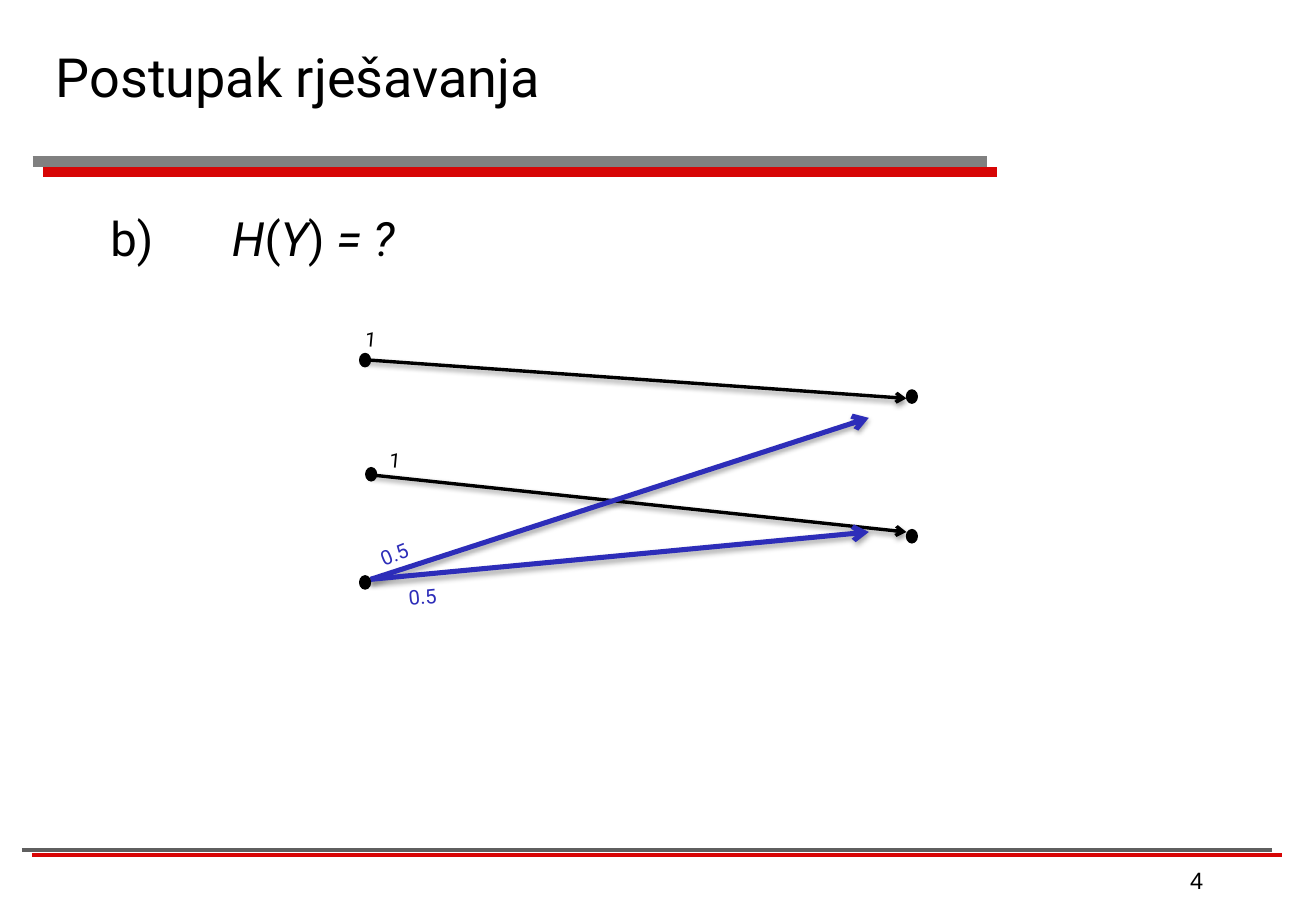
from lxml import etree
from pptx import Presentation, util as u
from pptx.dml.color import RGBColor
from pptx.enum import shapes, text
from pptx.oxml import ns


def ink(code):
    return RGBColor.from_string(code)


def node(base, tag, **attrs):
    item = etree.SubElement(base, ns.qn(tag))
    for key, value in attrs.items():
        item.set(key, str(value))
    return item


def write(para, words, font="Roboto", size=12, color="000000", slant=False):
    run = para.add_run()
    run.text = words
    run.font.name = font
    run.font.size = u.Pt(size)
    run.font.color.rgb = ink(color)
    run.font.italic = slant


class Deck:
    """Draws on one slide, with places given in percent of its size."""

    black, blue, red = "000000", "2D2DB9", "D70505"

    def __init__(self, wide, high):
        self.file = Presentation()
        self.file.slide_width = u.Inches(wide)
        self.file.slide_height = u.Inches(high)
        self.page = self.file.slides.add_slide(self.file.slide_layouts[6])

    def place(self, *shares):
        sides = (self.file.slide_width, self.file.slide_height) * 2
        return [u.Emu(round(side * part / 100)) for side, part in zip(sides, shares)]

    def box(self, spot, align=text.PP_ALIGN.LEFT, anchor=text.MSO_ANCHOR.TOP, turn=0):
        shape = self.page.shapes.add_textbox(*self.place(*spot))
        shape.rotation = turn
        frame = shape.text_frame
        frame.word_wrap = True
        frame.vertical_anchor = anchor
        para = frame.paragraphs[0]
        para.alignment = align
        return para

    def label(self, left, top, words, turn, color):
        para = self.box((left, top, 4.8, 3.47), text.PP_ALIGN.CENTER, turn=turn)
        para.line_spacing = 0.8
        write(para, words, color=color)

    def line(self, start, end, color, width, shade, alpha, blur, dist, angle, arrow=False):
        link = self.page.shapes.add_connector(
            shapes.MSO_CONNECTOR.STRAIGHT, *self.place(*start, *end))
        link.line.color.rgb = ink(color)
        link.line.width = u.Pt(width)
        props = link.line._get_or_add_ln().getparent()
        if arrow:
            node(link.line._get_or_add_ln(), "a:tailEnd", type="arrow")
        cast = node(node(props, "a:effectLst"), "a:outerShdw", blurRad=u.Pt(blur),
                    dist=u.Pt(dist), dir=angle * 60000, algn="ctr", rotWithShape=0)
        node(node(cast, "a:srgbClr", val=shade), "a:alpha", val=alpha * 1000)

    def bar(self, left, right, top, color, width, dist, angle):
        self.line((left, top), (right, top), color, width, self.red, 100, 0, dist, angle)

    def arrow(self, start, end, color, width, alpha, dist):
        self.line(start, end, color, width, self.black, alpha, 3.1, dist, 90, True)

    def dot(self, left, top):
        shape = self.page.shapes.add_shape(
            shapes.MSO_SHAPE.OVAL, *self.place(left, top, 0.83, 1.47))
        shape.shadow.inherit = False
        shape.fill.solid()
        shape.fill.fore_color.rgb = ink(self.black)
        shape.line.color.rgb = ink(self.black)
        shape.line.width = u.Pt(0.75)


def main():
    deck = Deck(10.83, 7.5)
    deck.bar(2.49, 74.98, 17.73, "808080", 6, 8.5, 45)
    deck.bar(1.66, 96.68, 93.33, "5F5F5F", 2.25, 6.7, 27)

    title = deck.box((3.32, 0, 85.04, 16.67), anchor=text.MSO_ANCHOR.MIDDLE)
    write(title, "Postupak rješavanja", size=32)

    task = deck.box((7.48, 22.27, 85.04, 67.73))
    tabs = node(task._p.get_or_add_pPr(), "a:tabLst")
    node(tabs, "a:tab", pos=u.Inches(1), algn="l")
    for words, slant in (("b) \t", False), ("H", True), ("(", False),
                         ("Y", True), (") ", False), ("= ?", True)):
        write(task, words, size=28, slant=slant)

    number = deck.box((83.93, 94.4, 8.4, 3.33), text.PP_ALIGN.RIGHT)
    write(number, "4", font="Arial", size=14)

    for start, end in (((27.52, 39.47), (68.88, 43.73)),
                       ((28.16, 52.13), (68.88, 58.4))):
        deck.arrow(start, end, deck.black, 2, 38, 1.6)
    for top in (45.87, 58.4):
        deck.arrow((28.16, 63.6), (66.02, top), deck.blue, 3, 35, 1.8)

    for left, top, words, turn, color in (
            (25.76, 35.73, "1", 5.5, deck.black),
            (27.61, 49.07, "1", 5.5, deck.black),
            (27.61, 59.33, "0.5", 337.9, deck.blue),
            (29.73, 64, "0.5", 354.4, deck.blue)):
        deck.label(left, top, words, turn, color)

    for left, top in ((27.33, 38.8), (68.88, 42.8), (68.88, 58.13),
                      (27.33, 63.2), (27.79, 51.33)):
        deck.dot(left, top)

    deck.file.save("out.pptx")


if __name__ == "__main__":
    main()
